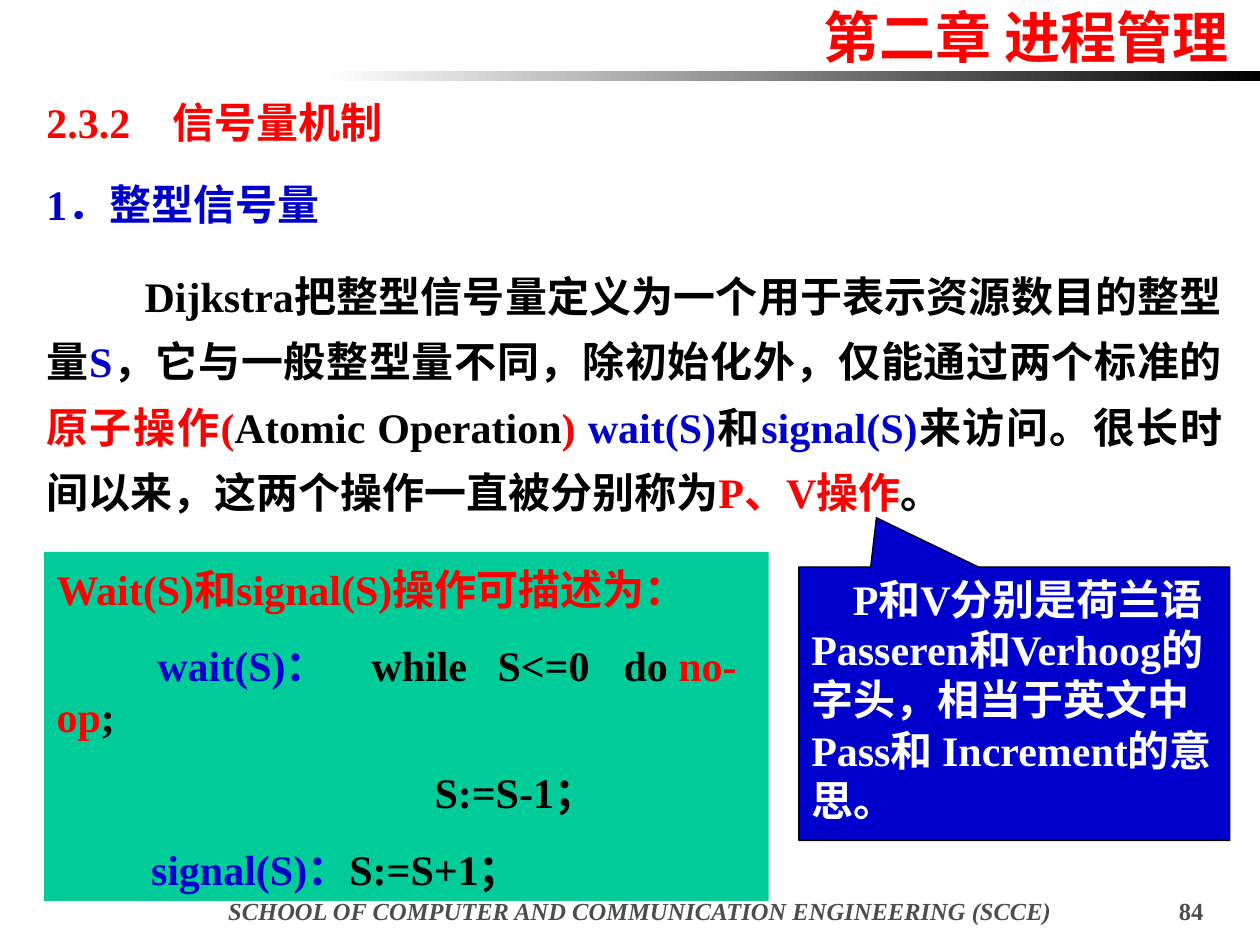
from lxml.etree import SubElement
from pptx import Presentation
from pptx.dml.color import RGBColor
from pptx.enum.shapes import MSO_SHAPE as Preset
from pptx.enum.text import MSO_ANCHOR as Anchor, PP_ALIGN as Align
from pptx.oxml.ns import qn
from pptx.util import Inches, Pt

RED = RGBColor(0xFF, 0x00, 0x00)
BLUE = RGBColor(0x00, 0x00, 0xCC)
BLACK = RGBColor(0x00, 0x00, 0x00)
WHITE = RGBColor(0xFF, 0xFF, 0xFF)
GREEN = RGBColor(0x00, 0xCC, 0x99)
GREY = RGBColor(0x4D, 0x4D, 0x4D)

SERIF = "Times New Roman"
SANS = "Noto Sans CJK SC"
CELL = Inches(0.1)  # grid of 100 columns by 75 rows


def cells(*counts):
    """Turn columns and rows of the grid into lengths."""
    return [round(count * CELL) for count in counts]


def prepare_frame(shape):
    frame = shape.text_frame
    frame.word_wrap = True
    frame.vertical_anchor = Anchor.TOP
    return frame


def add_text_box(slide, *place):
    return prepare_frame(slide.shapes.add_textbox(*cells(*place)))


def add_panel(slide, preset, place, color):
    shape = slide.shapes.add_shape(preset, *cells(*place))
    shape.shadow.inherit = False
    shape.fill.solid()
    shape.fill.fore_color.rgb = color
    shape.line.fill.background()
    return shape


def add_paragraph(frame, runs, size=24, font=SERIF, align=Align.LEFT,
                  spacing=1.0, before=0, indent=0, tabs=(), italic=False):
    """Append a bold paragraph of (text, colour) runs; indent and tabs in columns."""
    first = frame.paragraphs[0]
    paragraph = frame.add_paragraph() if first.runs else first
    paragraph.alignment = align
    paragraph.line_spacing = spacing
    paragraph.space_before = Pt(before)
    paragraph.font.size = Pt(size)
    paragraph.font.name = font
    paragraph.font.bold = True
    paragraph.font.italic = italic

    # First-line indent and tab stops
    properties = paragraph._p.get_or_add_pPr()
    properties.set("marL", "0")
    properties.set("indent", str(cells(indent)[0]))
    if tabs:
        tab_list = properties.makeelement(qn("a:tabLst"), {})
        properties.find(qn("a:defRPr")).addprevious(tab_list)
        for position in cells(*tabs):
            SubElement(tab_list, qn("a:tab"), pos=str(position), algn="l")

    for text, color in runs:
        run = paragraph.add_run()
        run.text = text
        run.font.size = Pt(size)
        run.font.name = font
        run.font.bold = True
        run.font.italic = italic
        run.font.color.rgb = color
        SubElement(run._r.get_or_add_rPr(), qn("a:ea"), typeface=SANS)


def add_header(slide):
    title = add_text_box(slide, 63.5, -0.3, 35, 6.4)
    add_paragraph(title, [("第二章 进程管理", RED)], size=32, font=SANS,
                  align=Align.RIGHT)
    bar = add_panel(slide, Preset.RECTANGLE, (25.8, 5.6, 74.2, 0.8), BLACK)
    bar.fill.gradient()
    bar.fill.gradient_angle = 180
    for stop, color in zip(bar.fill.gradient_stops, (BLACK, WHITE)):
        stop.color.rgb = color


def add_body(slide):
    body = add_text_box(slide, 2.7, 6.8, 95.3, 34.8)
    add_paragraph(body, [("2.3.2　信号量机制", RED)], spacing=1.1, before=3,
                  align=Align.JUSTIFY)
    add_paragraph(body, [("1．整型信号量", BLUE)], spacing=1.1, before=15,
                  align=Align.JUSTIFY)
    definition = [
        ("Dijkstra把整型信号量定义为一个用于表示资源数目的整型量", BLACK),
        ("S", BLUE),
        ("，它与一般整型量不同，除初始化外，仅能通过两个标准的", BLACK),
        ("原子操作(", RED),
        ("Atomic Operation", BLACK),
        (") ", RED),
        ("wait(S)", BLUE),
        ("和", BLACK),
        ("signal(S)", BLUE),
        ("来访问。很长时间以来，这两个操作一直被分别称为", BLACK),
        ("P、V操作", RED),
        ("。", BLACK),
    ]
    add_paragraph(body, definition, spacing=1.3, before=15, indent=7.8,
                  align=Align.JUSTIFY)


def add_callout(slide):
    callout = add_panel(slide, Preset.RECTANGULAR_CALLOUT,
                        (63.4, 45, 34.2, 21.7), BLUE)
    callout.adjustments[0] = -0.32
    callout.adjustments[1] = -0.68
    callout.line.color.rgb = BLACK
    callout.line.width = Pt(0.75)
    note = ("P和V分别是荷兰语Passeren和Verhoog的字头，"
            "相当于英文中 Pass和 Increment的意思。")
    add_paragraph(prepare_frame(callout), [(note, WHITE)], indent=3.3)


def add_operations(slide):
    panel = add_panel(slide, Preset.RECTANGLE, (3.5, 43.8, 57.5, 27.7), GREEN)
    frame = prepare_frame(panel)
    add_paragraph(frame, [("Wait(S)和signal(S)操作可描述为：", RED)],
                  spacing=1.1, before=3)
    wait = [("wait(S)：", BLUE), ("\twhile\tS<=0\tdo ", BLACK),
            ("no-op", RED), (";", BLACK)]
    add_paragraph(frame, wait, before=15, indent=8, tabs=(24.5, 41.5, 50.9))
    add_paragraph(frame, [("S:=S-1；", BLACK)], before=15, indent=30)
    add_paragraph(frame, [("signal(S)：", BLUE), ("S:=S+1；", BLACK)],
                  before=15, indent=7.5)


def add_footer(slide):
    school = "SCHOOL OF COMPUTER AND COMMUNICATION ENGINEERING (SCCE)"
    add_paragraph(add_text_box(slide, 13.8, 70.6, 74, 2.8), [(school, GREY)],
                  size=14, align=Align.CENTER, italic=True)
    add_paragraph(add_text_box(slide, 90.2, 70.6, 6.3, 2.8), [("84", GREY)],
                  size=14, align=Align.RIGHT)


def main():
    presentation = Presentation()
    presentation.slide_width = 100 * CELL
    presentation.slide_height = 75 * CELL
    slide = presentation.slides.add_slide(presentation.slide_layouts[6])
    add_header(slide)
    add_body(slide)
    add_callout(slide)
    add_operations(slide)
    add_footer(slide)
    presentation.save("out.pptx")


if __name__ == "__main__":
    main()
